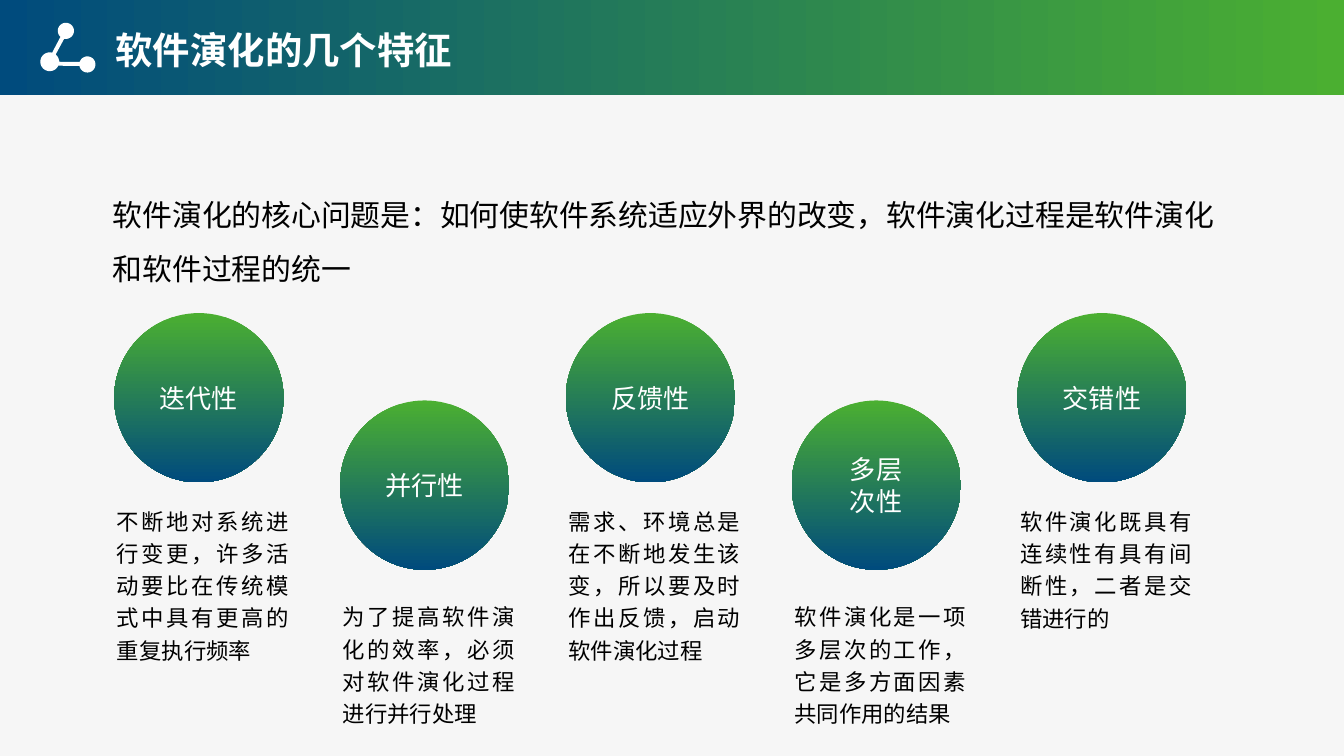
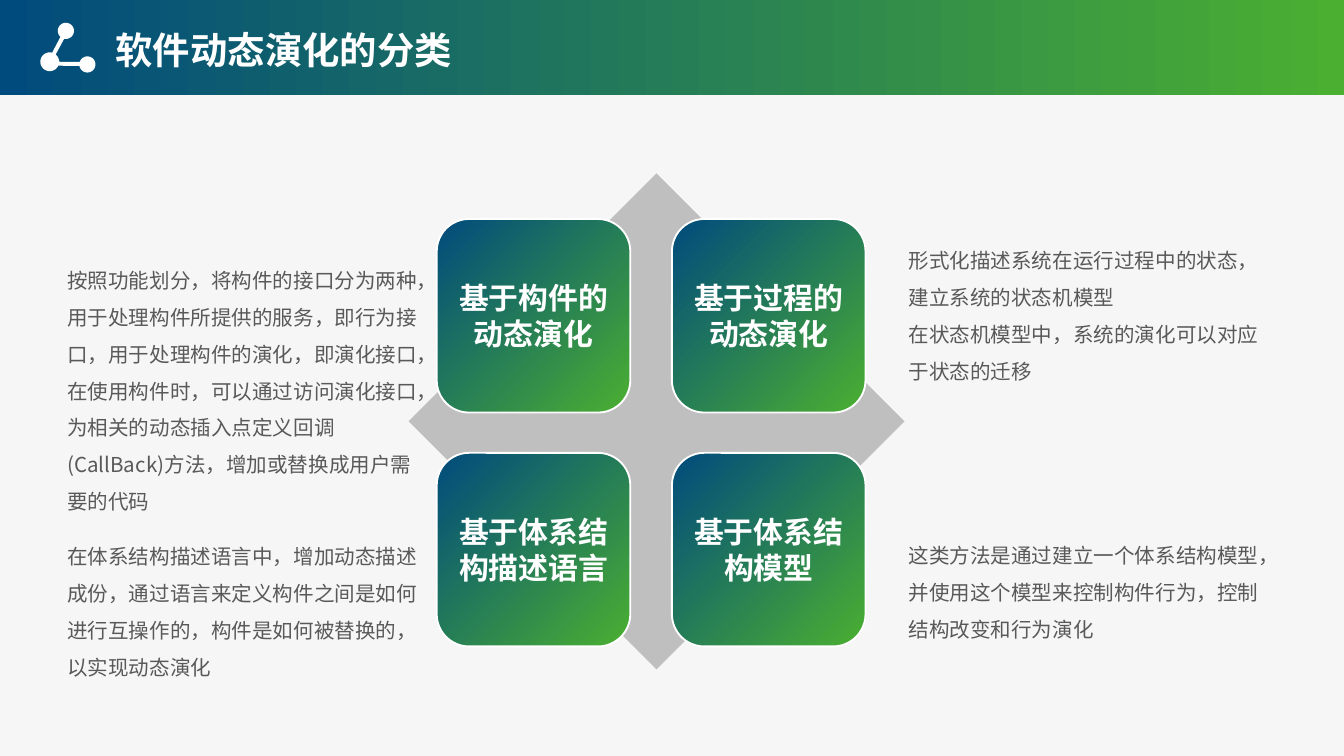
from math import cos, sin, radians

from lxml.etree import SubElement
from pptx import Presentation
from pptx.dml.color import RGBColor
from pptx.enum.shapes import MSO_SHAPE
from pptx.enum.text import MSO_ANCHOR, MSO_AUTO_SIZE, PP_ALIGN
from pptx.oxml.ns import qn
from pptx.util import Inches, Pt

FONT = "Noto Sans CJK SC"
HUES = {"blue": "004B7D", "green": "4BAF31", "page": "F6F6F6", "white": "FFFFFF",
        "black": "000000", "text": "595959", "grey": "BFBFBF"}

TRAITS = {
    "title": "软件演化的几个特征",
    "lead": "软件演化的核心问题是：如何使软件系统适应外界的改变，软件演化过程是软件演化和软件过程的统一",
    "items": [
        (["迭代性"], "不断地对系统进行变更，许多活动要比在传统模式中具有更高的重复执行频率", 1.26),
        (["并行性"], "为了提高软件演化的效率，必须对软件演化过程进行并行处理", 1.02),
        (["反馈性"], "需求、环境总是在不断地发生该变，所以要及时作出反馈，启动软件演化过程", 1.26),
        (["多层", "次性"], "软件演化是一项多层次的工作，它是多方面因素共同作用的结果", 1.02),
        (["交错性"], "软件演化既具有连续性有具有间断性，二者是交错进行的", 1.02),
    ],
}

# Each kind: tile label, note paragraphs, note top, note height
KINDS = {
    "title": "软件动态演化的分类",
    "items": [
        ("基于构件的动态演化",
         ["按照功能划分，将构件的接口分为两种，用于处理构件所提供的服务，即行为接口，"
          "用于处理构件的演化，即演化接口，在使用构件时，可以通过访问演化接口，"
          "为相关的动态插入点定义回调(CallBack)方法，增加或替换成用户需要的代码"], 1.85, 1.77),
        ("基于过程的动态演化",
         ["形式化描述系统在运行过程中的状态，建立系统的状态机模型",
          "在状态机模型中，系统的演化可以对应于状态的迁移"], 1.69, 1.22),
        ("基于体系结构描述语言",
         ["在体系结构描述语言中，增加动态描述成份，通过语言来定义构件之间是如何进行互操作的，"
          "构件是如何被替换的，以实现动态演化"], 3.91, 1.22),
        ("基于体系结构模型",
         ["这类方法是通过建立一个体系结构模型，并使用这个模型来控制构件行为，"
          "控制结构改变和行为演化"], 3.89, 0.94),
    ],
}

# Arcs of the linked-nodes icon: centre x, centre y, radius, from and to degrees
ARCS = [(0.49, 0.23, 0.06, 132, 462), (0.37, 0.46, 0.07, 309, 360),
        (0.65, 0.48, 0.06, 199, 530), (0.37, 0.46, 0.07, 25, 285)]

STYLES = {
    "title": dict(size=20, hue="white", bold=True, pad=(0.07, 0.04)),
    "lead": dict(size=16, hue="black", pad=(0.05, 0.03), mid=True,
                 para={"line_spacing": 1.5}),
    "trait": dict(size=12, hue="black", pad=(0.05, 0.03),
                  para={"alignment": PP_ALIGN.JUSTIFY, "line_spacing": 1.2,
                        "space_after": Pt(6.6)}),
    "ball": dict(size=14, hue="white", mid=True, para={"alignment": PP_ALIGN.CENTER}),
    "tile": dict(size=16, hue="white", bold=True, pad=(0.04, 0.02), mid=True,
                 para={"alignment": PP_ALIGN.CENTER}),
    "left": dict(size=11, hue="text", pad=(0.11, 0.05), para={"line_spacing": 1.5}),
    "right": dict(size=11, hue="text", pad=(0.11, 0.05), mid=True,
                  para={"line_spacing": 1.5}),
}


def rgb(hue):
    return RGBColor.from_string(HUES[hue])


def write(shape, lines, size, hue, bold=False, pad=(0.1, 0.05), mid=False, para=None):
    frame = shape.text_frame
    across, down = map(Inches, pad)
    look = {"word_wrap": True, "margin_left": across, "margin_right": across,
            "margin_top": down, "margin_bottom": down,
            "vertical_anchor": MSO_ANCHOR.MIDDLE if mid else MSO_ANCHOR.TOP}
    for key, value in look.items():
        setattr(frame, key, value)
    for i, line in enumerate(lines):
        part = frame.add_paragraph() if i else frame.paragraphs[0]
        for key, value in (para or {}).items():
            setattr(part, key, value)
        run = part.add_run()
        run.text = line
        for key, value in {"size": Pt(size), "bold": bold, "name": FONT}.items():
            setattr(run.font, key, value)
        run.font.color.rgb = rgb(hue)
        SubElement(run.font._element, qn("a:ea"), typeface=FONT)


def note(slide, box, lines, style):
    shape = slide.shapes.add_textbox(*map(Inches, box))
    write(shape, lines, **STYLES[style])
    shape.text_frame.auto_size = MSO_AUTO_SIZE.SHAPE_TO_FIT_TEXT


def paint(shape, hue):
    shape.shadow.inherit = False
    shape.fill.solid()
    shape.fill.fore_color.rgb = rgb(hue)
    shape.line.fill.background()


def blend(shape, hues, angle=0):
    shape.shadow.inherit = False
    shape.line.fill.background()
    shape.fill.gradient()
    shape.fill.gradient_angle = angle
    for stop, hue in zip(shape.fill.gradient_stops, hues):
        stop.color.rgb = rgb(hue)


def glow(shape):
    """Turn the linear blend into a round one centred on the lower right corner."""
    grad = shape._element.spPr.find(qn("a:gradFill"))
    grad.remove(grad.find(qn("a:lin")))
    ring = SubElement(grad, qn("a:path"))
    ring.set("path", "circle")
    SubElement(ring, qn("a:fillToRect"), l="100000", t="100000")


def add(slide, kind, *box):
    return slide.shapes.add_shape(kind, *map(Inches, box))


def start(deck, title):
    """Add a slide with its page colour, band, icon and title."""
    slide = deck.slides.add_slide(deck.slide_layouts[6])
    slide.background.fill.solid()
    slide.background.fill.fore_color.rgb = rgb("page")
    blend(add(slide, MSO_SHAPE.RECTANGLE, 0, 0, 10, 0.71), ("blue", "green"))
    dots = []
    for x, y, r, a, b in ARCS:
        count = max(2, (b - a) // 10)
        turns = [radians(a + (b - a) * i / count) for i in range(count + 1)]
        dots += [(Inches(x + r * cos(t)), Inches(y + r * sin(t))) for t in turns]
    pen = slide.shapes.build_freeform(*dots[0])
    pen.add_line_segments(dots[1:], close=True)
    paint(pen.convert_to_shape(), "white")
    note(slide, (0.79, 0.16, 2.83, 0.41), [title], "title")
    return slide


def show_traits(deck):
    slide = start(deck, TRAITS["title"])
    for i, (name, text, high) in enumerate(TRAITS["items"]):
        x, low = 1.68 * i, i % 2
        note(slide, (0.82 + x, 3.71 + 0.71 * low, 1.38, high), [text], "trait")
        ball = add(slide, MSO_SHAPE.OVAL, 0.85 + x, 2.33 + 0.65 * low, 1.26, 1.26)
        blend(ball, ("green", "blue"), 270)
        write(ball, name, **STYLES["ball"])
    note(slide, (0.79, 1.3, 8.41, 0.86), [TRAITS["lead"]], "lead")


def show_kinds(deck):
    slide = start(deck, KINDS["title"])
    paint(add(slide, MSO_SHAPE.DIAMOND, 3.04, 1.29, 3.69, 3.69), "grey")
    for i, (name, lines, top, high) in enumerate(KINDS["items"]):
        row, col = divmod(i, 2)
        tile = add(slide, MSO_SHAPE.ROUNDED_RECTANGLE,
                   3.25 + 1.75 * col, 1.63 + 1.74 * row, 1.44, 1.44)
        blend(tile, ("green", "blue"))
        glow(tile)
        tile.line.color.rgb = rgb("white")
        tile.line.width = Pt(1)
        write(tile, [name], **STYLES["tile"])
        x, wide, style = ((0.39, 2.87, "left"), (6.65, 2.91, "right"))[col]
        note(slide, (x, top, wide, high), lines, style)


def main():
    deck = Presentation()
    deck.slide_width = Inches(10)
    deck.slide_height = deck.slide_width * 9 // 16
    show_traits(deck)
    show_kinds(deck)
    deck.save("out.pptx")


if __name__ == "__main__":
    main()
